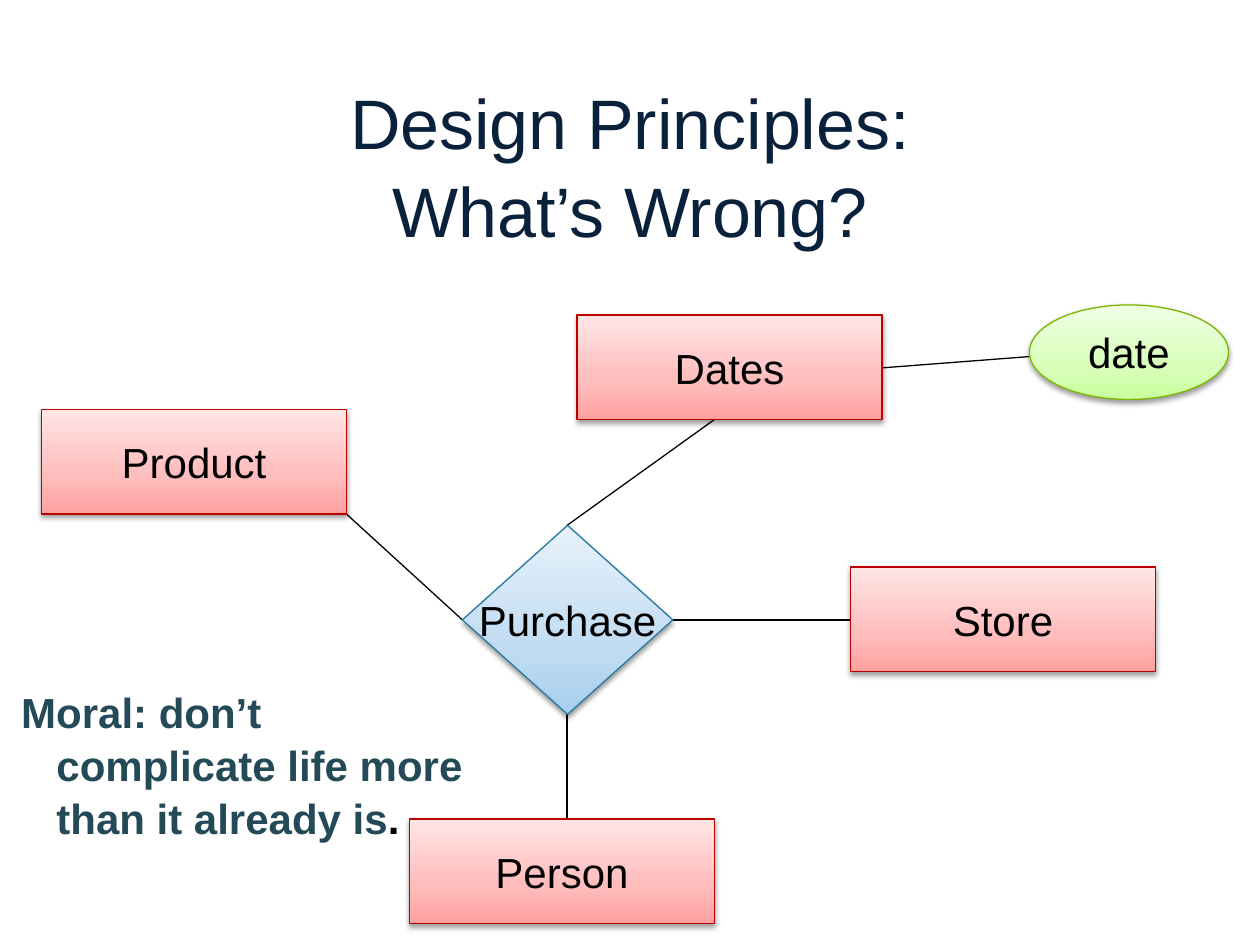
from dataclasses import dataclass

from lxml import etree
from pptx import Presentation
from pptx.dml.color import RGBColor
from pptx.enum.shapes import MSO_CONNECTOR, MSO_SHAPE
from pptx.enum.text import MSO_ANCHOR, PP_ALIGN
from pptx.oxml.ns import qn
from pptx.util import Inches, Pt

RECTANGLE, DIAMOND, OVAL = MSO_SHAPE.RECTANGLE, MSO_SHAPE.DIAMOND, MSO_SHAPE.OVAL
STRAIGHT = MSO_CONNECTOR.STRAIGHT
MIDDLE = MSO_ANCHOR.MIDDLE
CENTER = PP_ALIGN.CENTER
FONT = "Arial"
BLACK, NAVY, TEAL = "000000", "09213B", "244A58"
STOP_POSITIONS = (0, 35, 100)
ENTITY_SIZE = (2.42, 0.83)


@dataclass(frozen=True)
class Style:
    """Preset shape, gradient colours from bottom to top, and outline."""
    preset: int
    gradient: tuple[str, str, str]
    outline: str


@dataclass(frozen=True)
class Node:
    """A labelled shape of the diagram."""
    label: str
    style: Style
    left: float
    top: float
    width: float = ENTITY_SIZE[0]
    height: float = ENTITY_SIZE[1]


@dataclass(frozen=True)
class Link:
    """A straight line between two points."""
    start: tuple[float, float]
    end: tuple[float, float]


ENTITY = Style(RECTANGLE, ("FFA0A0", "FFBCBC", "FFE5E5"), "BC0000")
RELATION = Style(DIAMOND, ("A6CEEE", "C1DCF2", "E7F2FB"), "287A9E")
ATTRIBUTE = Style(OVAL, ("C9FF9C", "D8FEBA", "F0FFE4"), "7DB602")

NODES = (
    Node("Purchase", RELATION, 3.67, 4.17, 1.67, 1.5),
    Node("Product", ENTITY, 0.33, 3.25),
    Node("Person", ENTITY, 3.25, 6.5),
    Node("Store", ENTITY, 6.75, 4.5),
    Node("date", ATTRIBUTE, 8.17, 2.42, 1.58, 0.75),
    Node("Dates", ENTITY, 4.58, 2.5),
)
LINKS = (
    Link((5.33, 4.92), (6.75, 4.92)),
    Link((4.5, 5.67), (4.5, 6.5)),
    Link((4.5, 4.17), (5.67, 3.33)),
    Link((7, 2.92), (8.17, 2.83)),
    Link((2.75, 4.08), (3.67, 4.92)),
)


def color(value: str) -> RGBColor:
    """Turn a hex string into a colour."""
    return RGBColor.from_string(value)


def set_font(font, size: float, value: str, bold: bool = False) -> None:
    """Set typeface, size, colour and weight."""
    font.name, font.size, font.bold = FONT, Pt(size), bold
    font.color.rgb = color(value)


def add_color(parent, value: str):
    """Append an RGB colour element to parent and return it."""
    return etree.SubElement(parent, qn("a:srgbClr"), val=value)


def set_gradient(shape, colors: tuple[str, str, str]) -> None:
    """Fill a shape with a three-stop gradient rising from the bottom."""
    shape.fill.gradient()
    shape.fill.gradient_angle = 90
    stops = shape._element.spPr.find(".//" + qn("a:gsLst"))
    for stop in list(stops):
        stops.remove(stop)
    for position, value in zip(STOP_POSITIONS, colors):
        stop = etree.SubElement(stops, qn("a:gs"), pos=str(position * 1000))
        add_color(stop, value)


def set_shadow(shape) -> None:
    """Give a shape a soft shadow below it."""
    shape.shadow.inherit = False
    effects = shape._element.spPr.find(qn("a:effectLst"))
    shadow = etree.SubElement(
        effects, qn("a:outerShdw"), blurRad=str(Pt(3.1)), dist=str(Pt(1.6)),
        dir="5400000", rotWithShape="0")
    etree.SubElement(add_color(shadow, BLACK), qn("a:alpha"), val="38000")


def add_link(page, link: Link) -> None:
    """Draw a thin black line."""
    points = [Inches(value) for value in (*link.start, *link.end)]
    line = page.shapes.add_connector(STRAIGHT, *points)
    line.line.color.rgb = color(BLACK)
    line.line.width = Pt(0.75)
    etree.SubElement(line._element.spPr, qn("a:effectLst"))


def add_node(page, node: Node) -> None:
    """Draw a diagram shape with its centred label."""
    bounds = [Inches(v) for v in (node.left, node.top, node.width, node.height)]
    shape = page.shapes.add_shape(node.style.preset, *bounds)
    set_gradient(shape, node.style.gradient)
    shape.line.color.rgb = color(node.style.outline)
    shape.line.width = Pt(0.75)
    set_shadow(shape)
    frame = shape.text_frame
    frame.word_wrap = False
    frame.vertical_anchor = MIDDLE
    para = frame.paragraphs[0]
    para.text = node.label
    para.alignment = CENTER
    set_font(para.font, 24, BLACK)


def add_title(page) -> None:
    """Write the two-line title."""
    box = page.shapes.add_textbox(Inches(0.75), Inches(0.67), Inches(8.5), Inches(1.25))
    frame = box.text_frame
    frame.word_wrap = True
    frame.vertical_anchor = MIDDLE
    para = frame.paragraphs[0]
    para.text = "Design Principles:\vWhat’s Wrong?"
    para.alignment = CENTER
    para.line_spacing = 1.05
    set_font(para.font, 40, NAVY)


def add_moral(page) -> None:
    """Write the moral, with its later lines indented."""
    box = page.shapes.add_textbox(Inches(0.07), Inches(5.38), Inches(3.74), Inches(1.31))
    frame = box.text_frame
    frame.word_wrap = False
    lines = ("Moral: don’t", "complicate life more", "than it already is")
    for index, text in enumerate(lines):
        para = frame.add_paragraph() if index else frame.paragraphs[0]
        para.text = text
        para.line_spacing = 1.05
        set_font(para.font, 24, TEAL, bold=True)
        if index:
            para._p.get_or_add_pPr().set("marL", str(Inches(0.28)))
    span = para.add_run()
    span.text = "."
    span.font.color.rgb = color(BLACK)


def main() -> None:
    """Build and save the slide."""
    deck = Presentation()
    deck.slide_width, deck.slide_height = Inches(10), Inches(7.5)
    page = deck.slides.add_slide(deck.slide_layouts[6])
    add_title(page)
    for link in LINKS:
        add_link(page, link)
    for node in NODES:
        add_node(page, node)
    add_moral(page)
    deck.save("out.pptx")


main()
